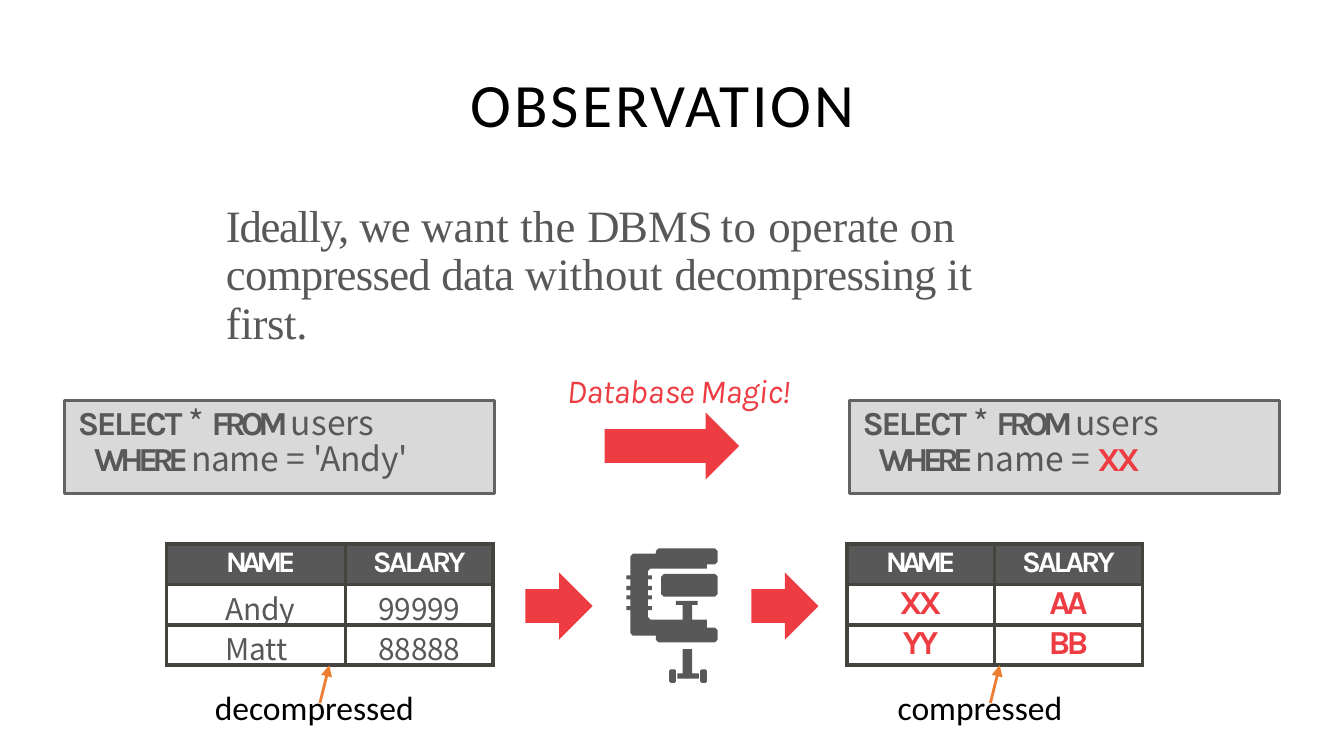
from lxml import etree
from pptx import Presentation
from pptx.dml.color import RGBColor
from pptx.enum.shapes import MSO_CONNECTOR, MSO_SHAPE
from pptx.enum.text import MSO_ANCHOR, PP_ALIGN
from pptx.oxml.ns import qn
from pptx.util import Pt

LEFT, CENTER = PP_ALIGN.LEFT, PP_ALIGN.CENTER
TOP, MIDDLE = MSO_ANCHOR.TOP, MSO_ANCHOR.MIDDLE
RECTANGLE, RIGHT_ARROW = MSO_SHAPE.RECTANGLE, MSO_SHAPE.RIGHT_ARROW
STRAIGHT = MSO_CONNECTOR.STRAIGHT

COLORS = {"black": "000000", "white": "FFFFFF", "gray": "585858", "red": "EE3D42",
          "query": "D9D9D9", "query_line": "636363", "grid": "44433E", "pointer": "ED7D31"}
COLORS = {name: RGBColor.from_string(value) for name, value in COLORS.items()}
KARLA, NOTO, CALIBRI, TIMES = "Karla", "Noto Sans CJK SC", "Calibri", "Times New Roman"


def add_text(para, text, font=KARLA, size=18, color="gray", bold=False, italic=False, spacing=0):
    """Append one run; spacing is the gap between letters in points."""
    span = para.add_run()
    span.text = text
    span.font.name, span.font.size = font, Pt(size)
    span.font.bold, span.font.italic = bold, italic
    span.font.color.rgb = COLORS[color]
    if spacing:
        span.font._element.set("spc", str(round(spacing * 100)))


def add_box(left, top, width, height, margins=(0, 0), wrap=True, anchor=TOP):
    """Add a text box with (side, top) margins and return its text frame."""
    frame = page.shapes.add_textbox(Pt(left), Pt(top), Pt(width), Pt(height)).text_frame
    frame.word_wrap, frame.vertical_anchor = wrap, anchor
    frame.margin_left = frame.margin_right = Pt(margins[0])
    frame.margin_top, frame.margin_bottom = Pt(margins[1]), 0
    return frame


deck = Presentation()
deck.slide_width, deck.slide_height = Pt(720), Pt(405)
page = deck.slides.add_slide(deck.slide_layouts[6])

# Title
box = add_box(251.3, 38.2, 213.8, 33.1, margins=(0, 0.9), anchor=MIDDLE)
para = box.paragraphs[0]
para.space_before = Pt(1.1)
para._p.get_or_add_pPr().set("marL", str(Pt(0.9)))
add_text(para, "OBSERVATION", font=CALIBRI, size=33, color="black", spacing=1.6)

# Queries before and after compression
for left, value, value_format in (
    (34.6, "'Andy'", {"font": NOTO, "spacing": -0.1}),
    (455, "XX", {"color": "red", "bold": True, "spacing": -1.9}),
):
    query = page.shapes.add_shape(RECTANGLE, Pt(left), Pt(214.6), Pt(230.4), Pt(49.7))
    query.shadow.inherit = False
    query.fill.solid()
    query.fill.fore_color.rgb = COLORS["query"]
    query.line.color.rgb = COLORS["query_line"]
    query.line.width = Pt(1.5)
    frame = query.text_frame
    frame.vertical_anchor = TOP
    frame.margin_left = frame.margin_right = frame.margin_bottom = 0
    frame.margin_top = Pt(2.9)
    select, where = frame.paragraphs[0], frame.add_paragraph()
    for para, indent, before in ((select, 7.2, 2.7), (where, 15.8, 0)):
        para.alignment, para.line_spacing, para.space_before = LEFT, Pt(19.4), Pt(before)
        para._p.get_or_add_pPr().set("marL", str(Pt(indent)))
    add_text(select, "SELECT ", bold=True, spacing=-1.3)
    add_text(select, "* ", font=NOTO)
    add_text(select, "FROM ", bold=True, spacing=-2.9)
    add_text(select, "users", font=NOTO)
    add_text(where, "WHERE ", bold=True, spacing=-3)
    add_text(where, "name ", font=NOTO, spacing=-0.1)
    add_text(where, "= ", font=NOTO)
    add_text(where, value, **value_format)

# Tables: plain values on the left, codes on the right
PLAIN = {"font": NOTO, "size": 16, "spacing": -0.1}
CODE = {"color": "red", "bold": True, "spacing": -2}
for left, widths, name_indent, rows, body_format in (
    (89.3, (95.8, 79.2), 31.7, (("Andy", "99999"), ("Matt", "88888")), PLAIN),
    (453.6, (79.2, 79.2), 0, (("XX", "AA"), ("YY", "BB")), CODE),
):
    grid = page.shapes.add_table(3, 2, Pt(left), Pt(291.6), Pt(sum(widths)), Pt(64.8)).table
    for column, width in zip(grid.columns, widths):
        column.width = Pt(width)
    for row, texts in enumerate((("NAME", "SALARY"), *rows)):
        for col, text in enumerate(texts):
            cell, header = grid.cell(row, col), row == 0
            is_code = body_format is CODE and not header
            cell.fill.solid()
            cell.fill.fore_color.rgb = COLORS["gray" if header else "white"]
            cell.margin_left = cell.margin_right = cell.margin_bottom = 0
            cell.margin_top = Pt(0 if is_code else 0.7)
            para = cell.text_frame.paragraphs[0]
            if is_code:
                para.line_spacing = Pt(20.6)
            else:
                para.space_before = Pt(0.9)
            if col == 0 and name_indent:
                para._p.get_or_add_pPr().set("marL", str(Pt(name_indent)))
            else:
                para.alignment = CENTER
            if header:
                add_text(para, text, size=16, color="white", bold=True, spacing=(-2.5, -1.6)[col])
            else:
                add_text(para, text, **body_format)
            properties = cell._tc.get_or_add_tcPr()
            for place, side in enumerate(("lnL", "lnR", "lnT", "lnB")):
                border = etree.Element(qn(f"a:{side}"), w=str(Pt(2.25)))
                fill = etree.SubElement(border, qn("a:solidFill"))
                etree.SubElement(fill, qn("a:srgbClr"), val=str(COLORS["grid"]))
                properties.insert(place, border)

# Block arrows
for left, top, width in ((281.5, 306.7, 36), (402.5, 306.7, 36), (324, 221, 72)):
    arrow = page.shapes.add_shape(RIGHT_ARROW, Pt(left), Pt(top), Pt(width), Pt(36))
    arrow.shadow.inherit = False
    arrow.fill.solid()
    arrow.fill.fore_color.rgb = COLORS["red"]
    arrow.line.fill.background()

# Clamp, drawn on a grid of 0.72 pt: a toothed frame, then boxes with cut corners
TEETH = (20, 28, 35, 43)
frame_points = [(66, 0), (24, 0), (22, 2), (22, 4), (5, 4), (3, 6)]
for y in TEETH:
    frame_points += [(3, y), (0, y), (0, y + 3), (3, y + 3)]
frame_points += [(3, 63), (5, 65), (22, 65), (22, 68), (24, 70), (66, 70), (68, 68), (68, 61),
                 (66, 59), (60, 59), (60, 53), (18, 53), (16, 51)]
for y in reversed(TEETH):
    frame_points += [(16, y + 3), (19, y + 3), (19, y), (16, y)]
frame_points += [(16, 17), (18, 15), (60, 15), (60, 12), (66, 12), (68, 10), (68, 2)]
clamp = page.shapes.build_freeform(*frame_points[0], scale=Pt(0.72))
clamp.add_line_segments(frame_points[1:], close=True)
for x1, y1, x2, y2, cut in (
    (42, 42, 49, 53, 0), (37, 39, 53, 42, 0), (26, 19, 68, 36, 2), (38, 93, 54, 97, 0),
    (42, 75, 49, 93, 0), (55, 90, 60, 100, 1), (32, 90, 37, 100, 1),
):
    clamp.move_to(x1 + cut, y1)
    clamp.add_line_segments([(x2 - cut, y1), (x2, y1 + cut), (x2, y2 - cut), (x2 - cut, y2),
                             (x1 + cut, y2), (x1, y2 - cut), (x1, y1 + cut)], close=True)
clamp_shape = clamp.convert_to_shape(Pt(335.5), Pt(293.8))
clamp_shape.shadow.inherit = False
clamp_shape.fill.solid()
clamp_shape.fill.fore_color.rgb = COLORS["gray"]
clamp_shape.line.fill.background()

# Statement
para = add_box(120.2, 104.4, 449.3, 92.9, margins=(0, 4.3)).paragraphs[0]
para.line_spacing, para.space_before = Pt(25.9), Pt(4.2)
para._p.get_or_add_pPr().set("marL", str(Pt(0.9)))
for text, spacing in (
    ("Ideally, ", -0.7), ("we ", -0.4), ("want the ", 0.1), ("DB", -0.8), ("M", -1), ("S ", -1.9),
    ("to ", 0.3), ("operate ", -0.1), ("on ", 0.2), ("compressed ", -0.4), ("data ", -0.3),
    ("without ", 0.1), ("decompressing ", -0.3), ("it ", 0.1), ("first.", -0.2),
):
    add_text(para, text, font=TIMES, size=24, spacing=spacing)

# Labels
para = add_box(266.4, 194.4, 174.2, 28.8, margins=(7.2, 3.6)).paragraphs[0]
para._p.get_or_add_pPr().set("marL", str(Pt(30.2)))
for text, spacing in (("Datab", -0.3), ("a", -0.2), ("se ", -0.8), ("Magi", -0.2), ("c!", -0.7)):
    add_text(para, text, color="red", italic=True, spacing=spacing)

for text, left, width, pointer_x in (
    ("decompressed", 108, 126.7, 171.4), ("compressed", 473.8, 103.7, 530.6),
):
    box = add_box(left, 364.3, width, 28.8, margins=(7.2, 3.6), wrap=False)
    add_text(box.paragraphs[0], text, font=CALIBRI, color="black")
    pointer = page.shapes.add_connector(
        STRAIGHT, Pt(pointer_x), Pt(376.6), Pt(pointer_x + 5), Pt(356.4))
    pointer.line.color.rgb = COLORS["pointer"]
    pointer.line.width = Pt(1.5)
    etree.SubElement(pointer.line._get_or_add_ln(), qn("a:tailEnd"), type="triangle")
    etree.SubElement(pointer._element.spPr, qn("a:effectLst"))

deck.save("out.pptx")
